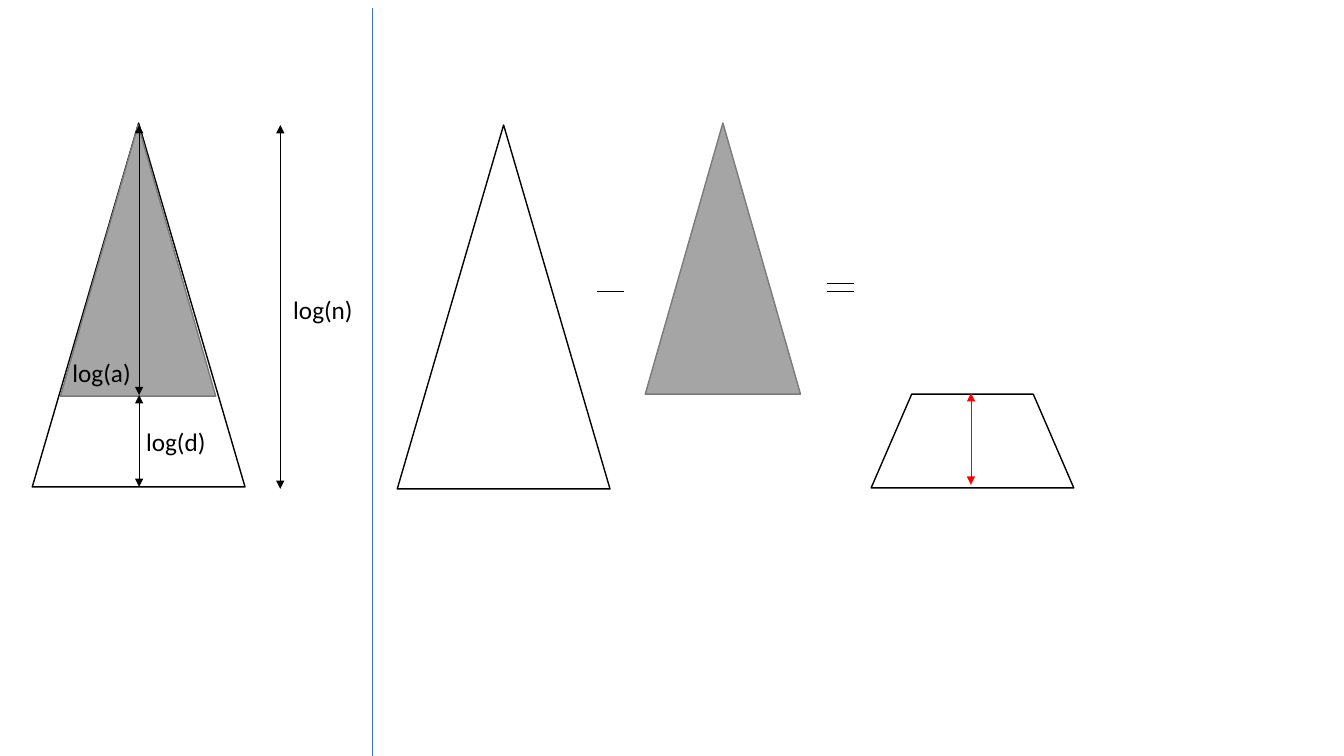
from dataclasses import dataclass

from lxml import etree
from pptx import Presentation
from pptx.dml.color import RGBColor
from pptx.enum.shapes import MSO_CONNECTOR, MSO_SHAPE
from pptx.oxml.ns import qn
from pptx.util import Pt

PX = 9144
TRIANGLE = MSO_SHAPE.ISOSCELES_TRIANGLE
TRAPEZOID = MSO_SHAPE.FLOWCHART_MANUAL_OPERATION
STRAIGHT = MSO_CONNECTOR.STRAIGHT


@dataclass(frozen=True)
class Theme:
    """Colours, font and sizes of the slide."""
    ink: str = "000000"
    paper: str = "FFFFFF"
    grey: str = "A5A5A5"
    grey_edge: str = "7A7A7A"
    divider: str = "4472C4"
    accent: str = "FF0000"
    font: str = "Calibri"
    text: int = 18
    outline: float = 1
    hairline: float = 0.5


T = Theme()
FULL_W, FULL_H = 211, 361
PART_W, PART_H = 154, 269


def add_outline(s, kind, x, y, w, h, fill=T.paper, edge=T.ink):
    """Add a filled and outlined preset shape."""
    sp = s.shapes.add_shape(kind, x * PX, y * PX, w * PX, h * PX)
    sp.shadow.inherit = False
    sp.fill.solid()
    sp.fill.fore_color.rgb = RGBColor.from_string(fill)
    sp.line.color.rgb = RGBColor.from_string(edge)
    sp.line.width = Pt(T.outline)
    return sp


def add_full_triangle(s, x, y):
    """Add the large white triangle."""
    add_outline(s, TRIANGLE, x, y, FULL_W, FULL_H)


def add_part_triangle(s, x, y):
    """Add the smaller grey triangle."""
    add_outline(s, TRIANGLE, x, y, PART_W, PART_H, T.grey, T.grey_edge)


def add_line(s, x1, y1, x2, y2, color=T.ink, arrows=False):
    """Add a thin line, with arrowheads at both ends if asked."""
    cx = s.shapes.add_connector(STRAIGHT, x1 * PX, y1 * PX, x2 * PX, y2 * PX)
    cx.line.color.rgb = RGBColor.from_string(color)
    cx.line.width = Pt(T.hairline)
    if arrows:
        ln = cx.line._get_or_add_ln()
        for end in ("a:headEnd", "a:tailEnd"):
            etree.SubElement(ln, qn(end), type="triangle")
    etree.SubElement(cx._element.spPr, qn("a:effectLst"))


def add_label(s, text, x, y, w=91, h=40):
    """Add a one-line label."""
    tf = s.shapes.add_textbox(x * PX, y * PX, w * PX, h * PX).text_frame
    tf.word_wrap = True
    r = tf.paragraphs[0].add_run()
    r.text = text
    r.font.name = T.font
    r.font.size = Pt(T.text)
    r.font.color.rgb = RGBColor.from_string(T.ink)


def build_heights(s, x, y):
    """Draw the nested triangles with their three marked heights."""
    axis, cut = x + 106, y + 270
    add_full_triangle(s, x, y)
    add_part_triangle(s, x + 28, y + 2)
    for ax, bottom, top in ((x + 246, y + 363, y + 2),
                            (axis, cut, y + 2),
                            (axis, y + FULL_H, cut)):
        add_line(s, ax, bottom, ax, top, arrows=True)
    for text, dx, dy in (("log(a)", 30, 228),
                         ("log(d)", 103, 296),
                         ("log(n)", 249, 165)):
        add_label(s, text, x + dx, y + dy)


def build_difference(s, x, y):
    """Draw the full triangle minus the grey one equals the trapezoid."""
    add_full_triangle(s, x, y + 2)
    add_part_triangle(s, x + 246, y)
    for dx, dy in ((198, 167), (426, 159), (426, 167)):
        add_line(s, x + dx, y + dy, x + dx + 27, y + dy)
    rest = add_outline(s, TRAPEZOID, x + 470, y + PART_H, 201, 93)
    rest.rotation = 180
    axis = x + 569
    add_line(s, axis, y + 359, axis, y + 268, T.accent, arrows=True)


def main():
    """Build and save the slide."""
    prs = Presentation()
    prs.slide_width, prs.slide_height = 1333 * PX, 750 * PX
    s = prs.slides.add_slide(prs.slide_layouts[6])
    build_heights(s, 32, 122)
    add_line(s, 369, 8, 369, 750, T.divider)
    build_difference(s, 394, 122)
    prs.save("out.pptx")


if __name__ == "__main__":
    main()
